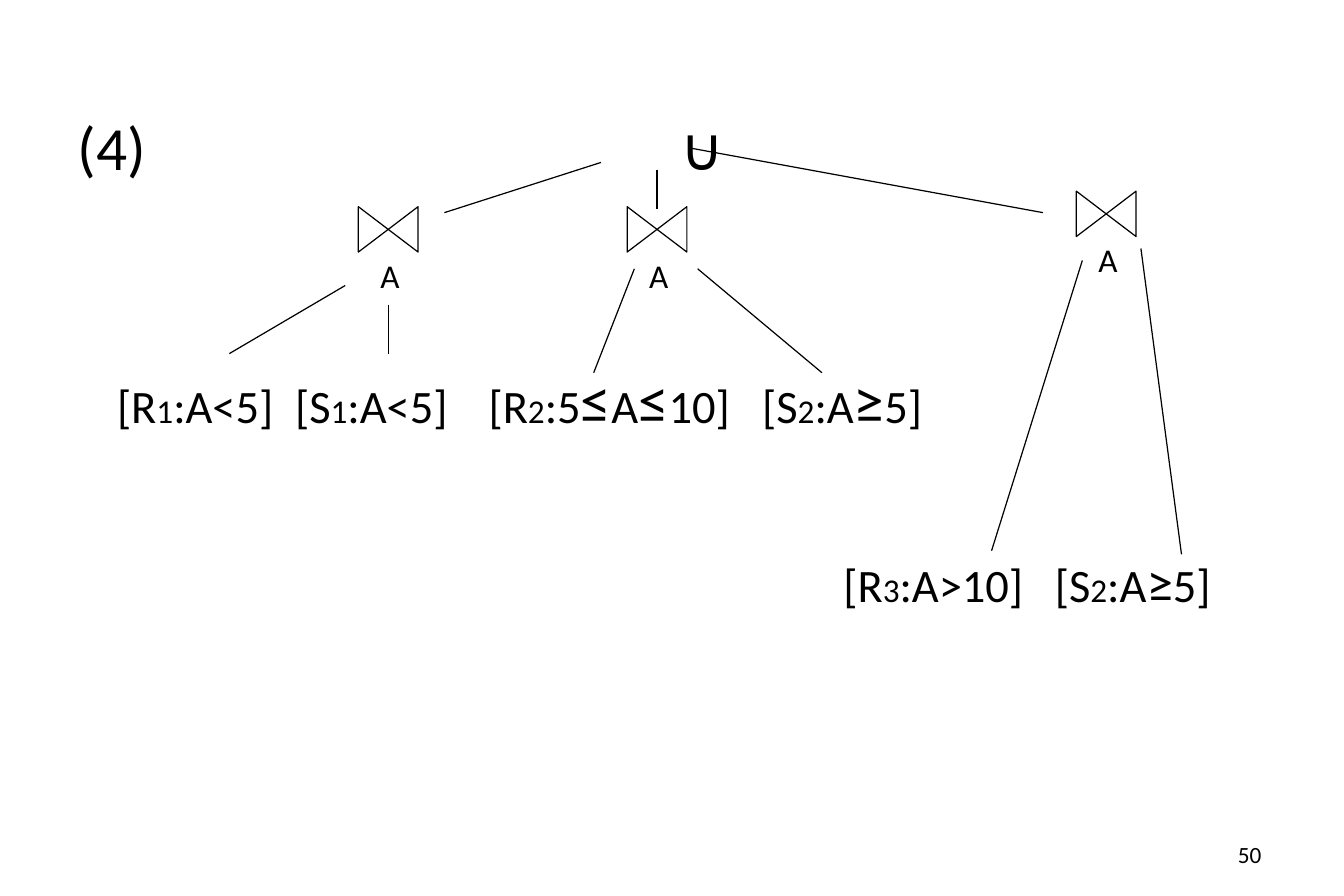
from lxml.etree import SubElement as Sub
from pptx import Presentation
from pptx.dml.color import RGBColor
from pptx.enum.shapes import MSO_CONNECTOR as Link, MSO_SHAPE as Kind
from pptx.enum.text import MSO_ANCHOR as Anchor, PP_ALIGN as Align
from pptx.oxml.ns import qn
from pptx.util import Inches, Pt

BLACK = RGBColor(0, 0, 0)
WHITE = RGBColor(255, 255, 255)
FONT = "Calibri"
WIDE, HIGH = 11.25, 7.5
BIG, MID, LOW = 37, 28, 20

ROWS = [
    (0.65, 0.91, 6, [5.7], [("(4)\t", BIG), ("∪", 36)]),
    (0.98, 3.03, 7.5, [2.47, 4.09, 6.38], [
        ("[R", MID), ("1", LOW), (":A<5]\t[S", MID), ("1", LOW),
        (":A<5]\t[R", MID), ("2", LOW), (":5", MID), ("≤", BIG),
        ("A", MID), ("≤", BIG), ("10]\t[S", MID), ("2", LOW),
        (":A", MID), ("≥", BIG), ("5]", MID)]),
    (7.06, 4.6, 3.5, [8.83], [
        ("[R", MID), ("3", LOW), (":A>10]\t[S", MID), ("2", LOW),
        (":A", MID), ("≥", 32), ("5]", MID)]),
]
JOINS = [(3.25, 1.92), (5.5, 1.92), (9.26, 1.79)]
JOIN_W, JOIN_H = 0.38, 0.5
EDGES = [
    (5.03, 1.36, 3.72, 1.78), (5.5, 1.42, 5.5, 1.75), (5.78, 1.24, 8.73, 1.78),
    (2.89, 2.39, 1.92, 2.96), (3.25, 2.55, 3.25, 2.96),
    (5.31, 2.25, 4.97, 3.12), (5.84, 2.25, 6.88, 3.12),
    (9.06, 2.18, 8.3, 4.61), (9.55, 2.08, 9.89, 4.64),
]


def write(shapes, box, runs, align=Align.LEFT, anchor=Anchor.TOP, tabs=()):
    frame = shapes.add_textbox(*map(Inches, box)).text_frame
    frame.word_wrap = True
    frame.vertical_anchor = anchor
    frame.margin_left = frame.margin_right = 0
    frame.margin_top = frame.margin_bottom = 0
    para = frame.paragraphs[0]
    para.alignment = align
    if tabs:
        stops = Sub(para._p.get_or_add_pPr(), qn("a:tabLst"))
        for stop in tabs:
            Sub(stops, qn("a:tab"), pos=str(Inches(stop - box[0])), algn="l")
    for text, size in runs:
        run = para.add_run()
        run.text = text
        run.font.name = FONT
        run.font.size = Pt(size)
        run.font.color.rgb = BLACK


def add_join(shapes, x, y):
    group = shapes.add_group_shape().shapes
    box = (x - JOIN_W / 2, y - JOIN_H / 2, JOIN_W, JOIN_H)
    bow = group.add_shape(Kind.FLOWCHART_COLLATE, *map(Inches, box))
    bow.rotation = 270
    bow.shadow.inherit = False
    bow.fill.solid()
    bow.fill.fore_color.rgb = WHITE
    bow.line.color.rgb = BLACK
    bow.line.width = Pt(0.75)
    write(group, (x - 0.17, y + 0.16, 0.37, 0.44), [("A", LOW)],
          Align.CENTER, Anchor.MIDDLE)


def add_edge(shapes, ends):
    edge = shapes.add_connector(Link.STRAIGHT, *map(Inches, ends))
    edge.line.color.rgb = BLACK
    edge.line.width = Pt(0.75)
    Sub(edge._element.spPr, qn("a:effectLst"))


def main():
    deck = Presentation()
    deck.slide_width, deck.slide_height = Inches(WIDE), Inches(HIGH)
    shapes = deck.slides.add_slide(deck.slide_layouts[6]).shapes
    for x, y, width, tabs, runs in ROWS:
        write(shapes, (x, y, width, 0.64), runs, tabs=tabs)
    for x, y in JOINS:
        add_join(shapes, x, y)
    for ends in EDGES:
        add_edge(shapes, ends)
    write(shapes, (8.06, 6.95, 2.5, 0.4), [("50", 14)],
          Align.RIGHT, Anchor.MIDDLE)
    deck.save("out.pptx")


if __name__ == "__main__":
    main()
